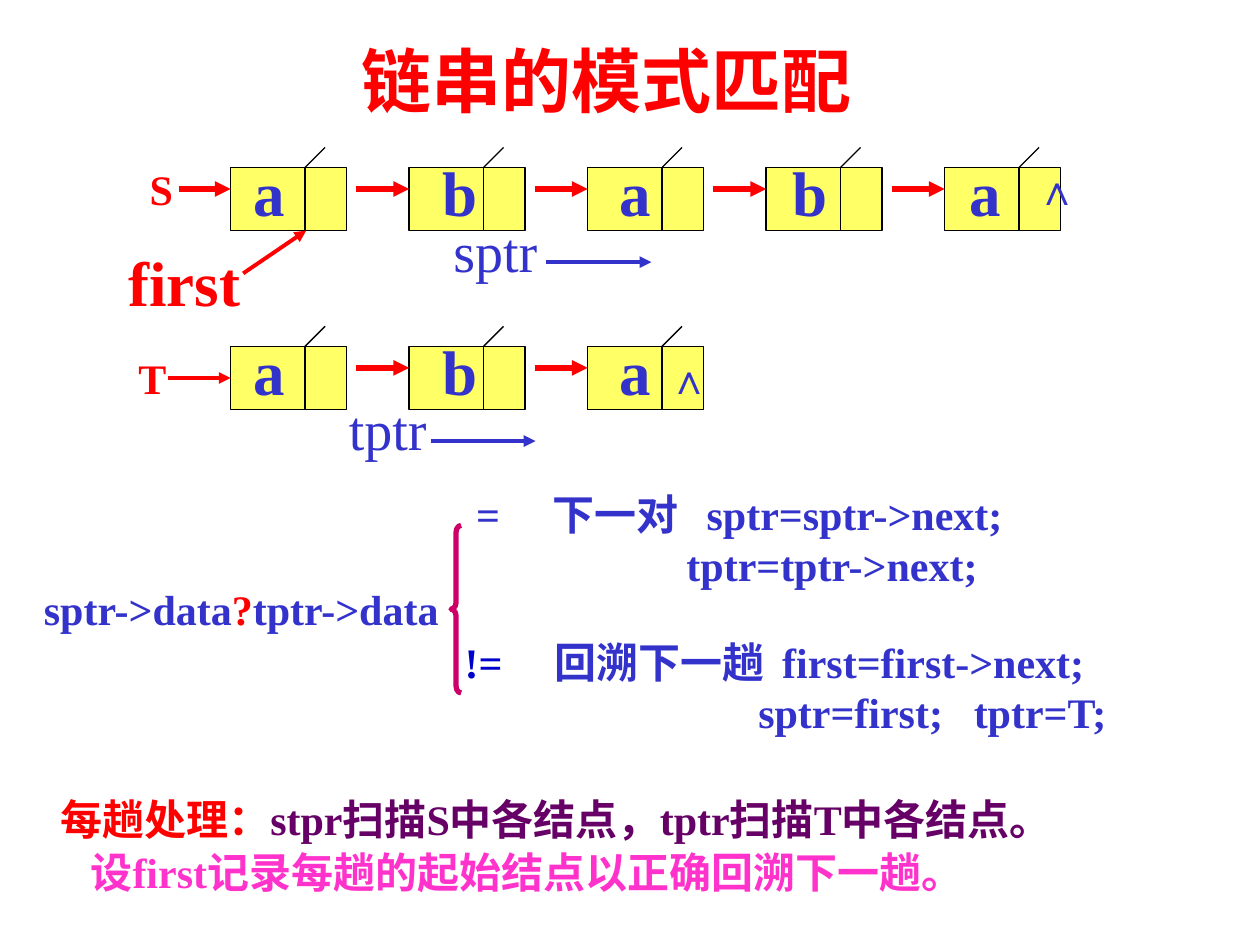
"""Build the slide on pattern matching with linked strings."""
from lxml import etree
from pptx import Presentation
from pptx.dml.color import RGBColor
from pptx.enum.shapes import MSO_CONNECTOR, MSO_SHAPE
from pptx.enum.text import MSO_ANCHOR, MSO_AUTO_SIZE, PP_ALIGN
from pptx.oxml.ns import qn
from pptx.util import Inches, Pt

RED = RGBColor(0xFF, 0x00, 0x00)
BLUE = RGBColor(0x33, 0x33, 0xCC)
DARK_BLUE = RGBColor(0x00, 0x00, 0xCC)
YELLOW = RGBColor(0xFF, 0xFF, 0x66)
BLACK = RGBColor(0x00, 0x00, 0x00)
PURPLE = RGBColor(0x66, 0x00, 0x66)
PINK = RGBColor(0xFF, 0x33, 0xCC)
CRIMSON = RGBColor(0xCC, 0x00, 0x66)
SERIF = "Times New Roman"

prs = Presentation()
prs.slide_width, prs.slide_height = Inches(10), Inches(7.5)
s = prs.slides.add_slide(prs.slide_layouts[5])


def add_text(x, y, w, h, lines, size=24, bold=True, font=SERIF, align=PP_ALIGN.LEFT):
    """Add a text box; each line is (runs, tab stops), each run (text, colour)."""
    tf = s.shapes.add_textbox(Inches(x), Inches(y), Inches(w), Inches(h)).text_frame
    tf.word_wrap = any(stops for _, stops in lines)
    for i, (runs, stops) in enumerate(lines):
        p = tf.add_paragraph() if i else tf.paragraphs[0]
        p.alignment = align
        if stops:
            tabs = etree.SubElement(p._p.get_or_add_pPr(), qn("a:tabLst"))
            for stop in stops:
                etree.SubElement(tabs, qn("a:tab"), pos=str(Inches(stop)), algn="l")
        p.font.size, p.font.bold, p.font.name = Pt(size), bold, font
        for text, color in runs:
            r = p.add_run()
            r.text = text
            r.font.color.rgb = color


def add_line(x1, y1, x2, y2, color=BLACK, width=0.75, arrow=True):
    """Add a straight line, with an arrowhead at its end if wanted."""
    cxn = s.shapes.add_connector(
        MSO_CONNECTOR.STRAIGHT, Inches(x1), Inches(y1), Inches(x2), Inches(y2))
    cxn.line.color.rgb, cxn.line.width = color, Pt(width)
    if arrow:
        etree.SubElement(cxn.line._get_or_add_ln(), qn("a:tailEnd"), type="triangle")
    etree.SubElement(cxn._element.spPr, qn("a:effectLst"))
    return cxn


title = s.shapes.title
title.left, title.top, title.width, title.height = (
    Inches(2.77), Inches(0.25), Inches(4.4), Inches(0.77))
tf = title.text_frame
tf.text = "链串的模式匹配"
tf.word_wrap, tf.auto_size = True, MSO_AUTO_SIZE.NONE
tf.vertical_anchor = MSO_ANCHOR.TOP
p = tf.paragraphs[0]
p.alignment = PP_ALIGN.LEFT
p.font.size, p.font.bold, p.font.name = Pt(40), True, SERIF
p.font.color.rgb = RED

centers = [2.14, 3.65, 5.04, 6.43, 7.82]
heads = []
for letters, top in [("ababa", 1.33), ("aba", 2.75)]:
    for i, letter in enumerate(letters):
        left = 1.83 + 17 / 12 * i
        sp = s.shapes.add_shape(
            MSO_SHAPE.RECTANGLE, Inches(left), Inches(top), Inches(0.92), Inches(0.5))
        sp.shadow.inherit = False
        sp.fill.solid()
        sp.fill.fore_color.rgb = YELLOW
        sp.line.color.rgb, sp.line.width = BLACK, Pt(0.75)
        if i == 0:
            heads.append(sp)
        else:
            add_line(left - 0.42, top + 0.17, left, top + 0.17, RED, 3)
        split = left + 0.59
        add_line(split, top, split, top + 0.5, arrow=False)
        add_line(split, top, split + 0.16, top - 0.16, arrow=False)
        add_text(centers[i] - 0.25, top - 0.16, 0.5, 0.7, [([(letter, BLUE)], [])],
                 size=36, align=PP_ALIGN.CENTER)

add_line(1.42, 1.5, 1.83, 1.5, RED, 3)
add_line(1.33, 3, 1.83, 3, RED, 2.25).end_connect(heads[1], 1)
add_line(1.93, 2.17, 2.43, 1.83, RED, 2.25)
add_line(4.33, 2.08, 5.17, 2.08, BLUE, 2.25)
add_line(3.42, 3.5, 4.25, 3.5, BLUE, 2.25)

add_text(1.09, 1.25, 0.4, 0.5, [([("S", RED)], [])])
add_text(1, 2.75, 0.42, 0.5, [([("T", RED)], [])])
add_text(0.92, 1.88, 1.12, 0.7, [([("first", RED)], [])], size=36)
for x, y in [(8.13, 1.25), (5.21, 2.75)]:
    add_text(x, y, 0.31, 0.5, [([("∧", BLUE)], [])], font="Arial")
for name, x, y in [("sptr", 3.5, 1.67), ("tptr", 2.67, 3.08)]:
    add_text(x, y, 0.95, 0.64, [([(name, BLUE)], [])], size=32, bold=False)

add_text(0.25, 4.58, 3.4, 0.5,
         [([("sptr->data", BLUE), ("?", RED), ("tptr->data", BLUE)], [])])
brace = s.shapes.add_shape(
    MSO_SHAPE.LEFT_BRACE, Inches(3.58), Inches(4.17), Inches(0.08), Inches(1.33))
brace.adjustments[0] = 0.67
brace.shadow.inherit = False
brace.fill.background()
brace.line.color.rgb, brace.line.width = CRIMSON, Pt(3)

add_text(3.68, 3.83, 4.6, 0.9, [
    ([("=\t下一对\tsptr=sptr->next;", BLUE)], [0.61, 1.83]),
    ([("\ttptr=tptr->next;", BLUE)], [1.67])])
add_text(3.59, 5, 5.5, 0.9, [
    ([("!=", DARK_BLUE), ("\t回溯下一趟\tfirst=first->next;", BLUE)], [0.71, 2.52]),
    ([("\tsptr=first;\ttptr=T;", BLUE)], [2.33, 4.04])])
add_text(0.38, 6.25, 8.71, 0.5, [
    ([("每趟处理：", RED), ("stpr扫描S中各结点，tptr扫描T中各结点。", PURPLE)], [])])
add_text(0.62, 6.67, 7.28, 0.5, [([("设first记录每趟的起始结点以正确回溯下一趟。", PINK)], [])])

prs.save("out.pptx")
